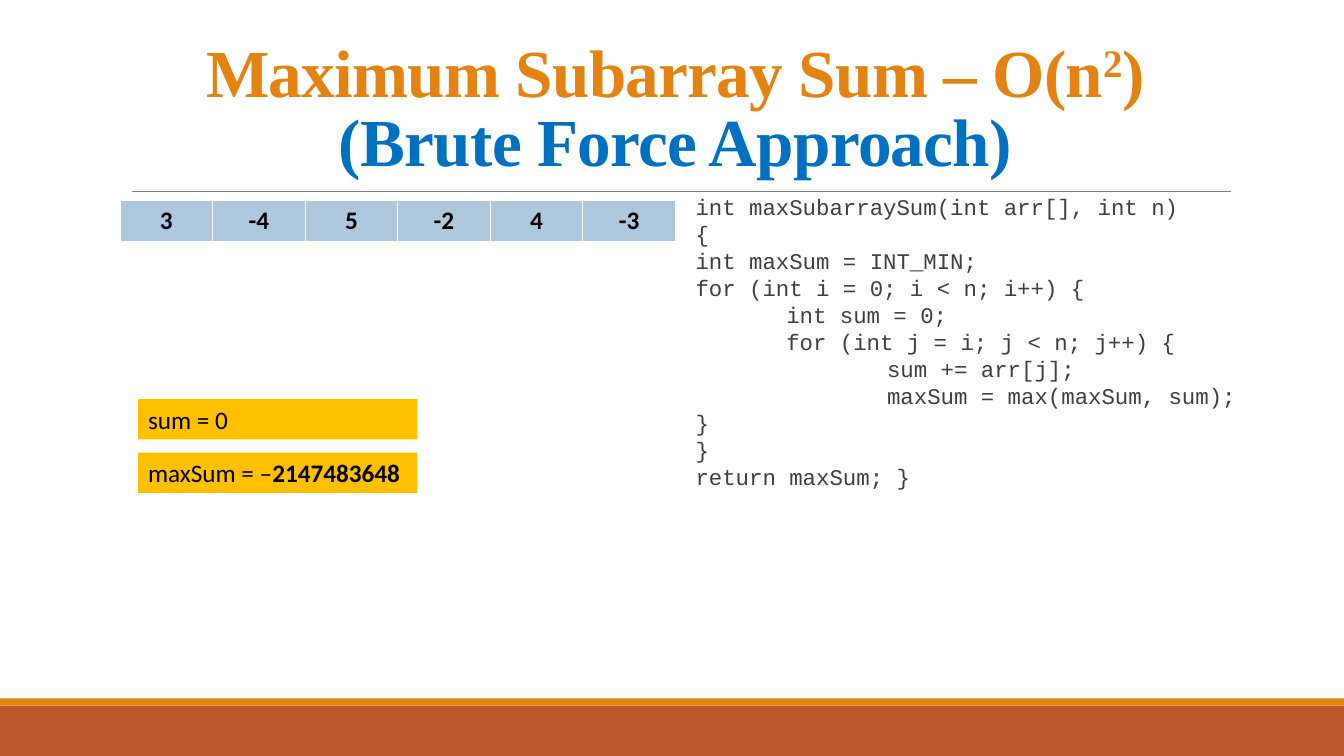
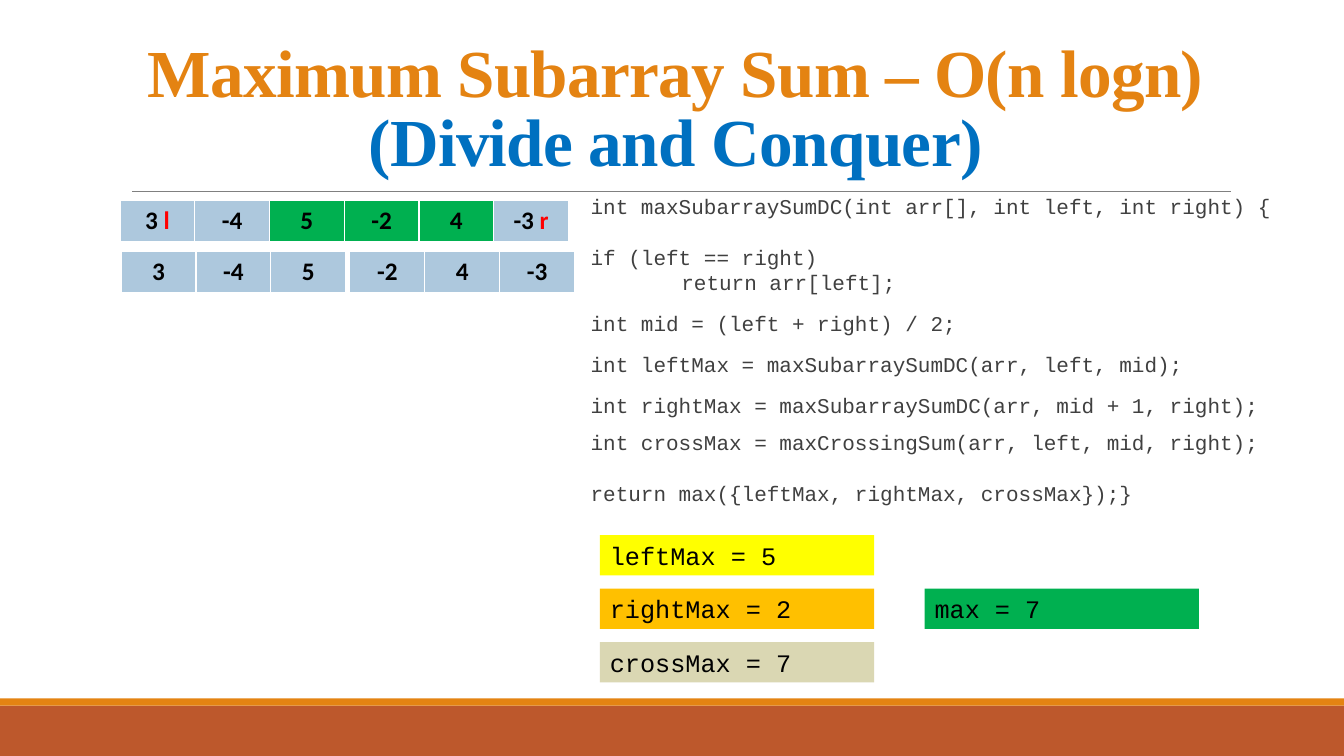
"""Build two slides on the maximum subarray sum problem."""
import pptx
import pptx.dml.color
import pptx.enum.shapes
import pptx.enum.text
import pptx.util
from lxml import etree
from pptx.util import Inches, Pt

COLORS = {
    "brick": "BD582C", "orange": "E48312", "blue": "0070C0", "rule": "808080",
    "black": "000000", "code": "404040", "red": "FF0000", "cell": "ADC8DD",
    "green": "00B050", "amber": "FFC000", "yellow": "FFFF00", "sand": "DAD7B3",
}
SERIF, SANS, MONO = "Times New Roman", "Calibri", "Courier New"
ROW_H, LABEL_H, LABEL_STEP = 0.41, 0.4, 0.53
TAB_STOPS = (0.9, 1.9)

BRUTE_FORCE = {
    "title": ([("Maximum Subarray Sum – O(n", 0), ("2", 30000), (")", 0)],
              "(Brute Force Approach)"),
    "arrays": [(1.19, 1.99, 5.51, ["3", "-4", "5", "-2", "4", "-3"], ())],
    "code": (6.8, 6.29, 4.52, 16, [
        ("int maxSubarraySum(int arr[], int n)", 0.9, 0),
        ("{", 0.9, 0),
        ("int maxSum = INT_MIN;", 0.9, 0),
        ("for (int i = 0; i < n; i++) {", 0.9, 0),
        ("\tint sum = 0;", 0.9, 0),
        ("\tfor (int j = i; j < n; j++) {", 0.9, 0),
        ("\t\tsum += arr[j];", 0.9, 0),
        ("\t\tmaxSum = max(maxSum, sum);", 0.9, 0),
        ("}", 0.9, 0),
        ("}", 0.9, 0),
        ("return maxSum; }", 0.9, 0),
    ]),
    "labels": (1.37, 3.96, 2.77, SANS, [
        (0, 0, "amber", "sum = 0", ""),
        (0, 1, "amber", "maxSum = –", "2147483648"),
    ]),
}
DIVIDE = {
    "title": ([("Maximum Subarray Sum – O(n logn)", 0)], "(Divide and Conquer)"),
    "arrays": [
        (1.19, 1.99, 4.45, ["3 l", "-4", "5", "-2", "4", "-3 r"], (2, 3, 4)),
        (1.2, 2.49, 2.23, ["3", "-4", "5"], ()),
        (3.47, 2.49, 2.23, ["-2", "4", "-3"], ()),
    ],
    "code": (5.76, 7.33, 4.98, 15, [
        ("int maxSubarraySumDC(int arr[], int left, int right) {", 0.9, 0),
        ("if (left == right)", 0.9, 18),
        ("\treturn arr[left];", 0.9, 0),
        ("int mid = (left + right) / 2;", 1.5, 0),
        ("int leftMax = maxSubarraySumDC(arr, left, mid);", 1.5, 0),
        ("int rightMax = maxSubarraySumDC(arr, mid + 1, right);\v"
         "int crossMax = maxCrossingSum(arr, left, mid, right);", 1.5, 0),
        ("return max({leftMax, rightMax, crossMax});}", 0.9, 18),
    ]),
    "labels": (5.95, 5.31, 2.72, MONO, [
        (0, 0, "yellow", "leftMax = 5", ""),
        (0, 1, "amber", "rightMax = 2", ""),
        (0, 2, "sand", "crossMax = 7", ""),
        (3.22, 1, "green", "max = 7", ""),
    ]),
}


def rgb(name):
    return pptx.dml.color.RGBColor.from_string(COLORS[name])


def set_font(font, name, size, color, bold=False):
    font.name, font.size, font.bold = name, Pt(size), bold
    font.color.rgb = rgb(color)


def add_rect(s, x, y, w, h, color):
    sp = s.shapes.add_shape(pptx.enum.shapes.MSO_SHAPE.RECTANGLE,
                            Inches(x), Inches(y), Inches(w), Inches(h))
    sp.shadow.inherit = False
    sp.fill.solid()
    sp.fill.fore_color.rgb = rgb(color)
    sp.line.fill.background()
    return sp


def add_text_box(s, x, y, w, h):
    tf = s.shapes.add_textbox(Inches(x), Inches(y), Inches(w), Inches(h)).text_frame
    tf.word_wrap = True
    return tf


def add_frame(s):
    add_rect(s, 0, 7, 13.33, 0.5, "brick")
    add_rect(s, 0, 6.93, 13.33, 0.07, "orange")
    rule = s.shapes.add_connector(pptx.enum.shapes.MSO_CONNECTOR.STRAIGHT,
                                  Inches(1.31), Inches(1.9), Inches(12.21), Inches(1.9))
    rule.line.color.rgb = rgb("rule")
    rule.line.width = Pt(0.5)
    etree.SubElement(rule._element.spPr, pptx.oxml.ns.qn("a:effectLst"))


def add_title(s, pieces, subtitle):
    tf = add_text_box(s, 1.2, 0.31, 11, 1.59)
    tf.vertical_anchor = pptx.enum.text.MSO_ANCHOR.MIDDLE
    p = tf.paragraphs[0]
    p.alignment = pptx.enum.text.PP_ALIGN.CENTER
    p.line_spacing = 0.85

    def add_piece(text, color, baseline=0):
        r = p.add_run()
        r.text = text
        set_font(r.font, SERIF, 48, color, True)
        rpr = r._r.get_or_add_rPr()
        rpr.set("spc", "-50")
        if baseline:
            rpr.set("baseline", str(baseline))

    for text, baseline in pieces:
        add_piece(text, "orange", baseline)
    p.add_line_break()
    add_piece(subtitle, "blue")


def add_array(s, x, y, w, values, marked):
    table = s.shapes.add_table(1, len(values), Inches(x), Inches(y),
                               Inches(w), Inches(ROW_H)).table
    for i, value in enumerate(values):
        table.columns[i].width = Inches(w / len(values))
        cell = table.cell(0, i)
        cell.fill.solid()
        cell.fill.fore_color.rgb = rgb("green" if i in marked else "cell")
        cell.vertical_anchor = pptx.enum.text.MSO_ANCHOR.MIDDLE
        p = cell.text_frame.paragraphs[0]
        p.alignment = pptx.enum.text.PP_ALIGN.CENTER
        number, gap, pointer = value.partition(" ")
        for text, color in ((number + gap, "black"), (pointer, "red")):
            if text:
                r = p.add_run()
                r.text = text
                set_font(r.font, SANS, 18, color, True)


def add_code(s, x, w, h, size, lines):
    tf = add_text_box(s, x, 1.9, w, h)
    tf.margin_left, tf.margin_right = Inches(0.1), 0
    for i, (text, spacing, before) in enumerate(lines):
        p = tf.add_paragraph() if i else tf.paragraphs[0]
        p.text = text
        p.line_spacing, p.space_after = spacing, Pt(2)
        if before:
            p.space_before = Pt(before)
        tabs = etree.SubElement(p._p.get_or_add_pPr(), pptx.oxml.ns.qn("a:tabLst"))
        for stop in TAB_STOPS:
            etree.SubElement(tabs, pptx.oxml.ns.qn("a:tab"),
                             pos=str(Inches(stop)), algn="l")
        set_font(p.font, MONO, size, "code")


def add_labels(s, x, y, w, font, labels):
    for shift, row, color, text, bold_text in labels:
        sp = add_rect(s, x + shift, y + row * LABEL_STEP, w, LABEL_H, color)
        p = sp.text_frame.paragraphs[0]
        p.alignment = pptx.enum.text.PP_ALIGN.LEFT
        for part, bold in ((text, False), (bold_text, True)):
            if part:
                r = p.add_run()
                r.text = part
                set_font(r.font, font, 18, "black", bold)


def main():
    prs = pptx.Presentation()
    prs.slide_width, prs.slide_height = Inches(13.33), Inches(7.5)
    for content in (BRUTE_FORCE, DIVIDE):
        s = prs.slides.add_slide(prs.slide_layouts[6])
        add_frame(s)
        add_title(s, *content["title"])
        for array in content["arrays"]:
            add_array(s, *array)
        add_code(s, *content["code"])
        add_labels(s, *content["labels"])
    prs.save("out.pptx")


if __name__ == "__main__":
    main()
